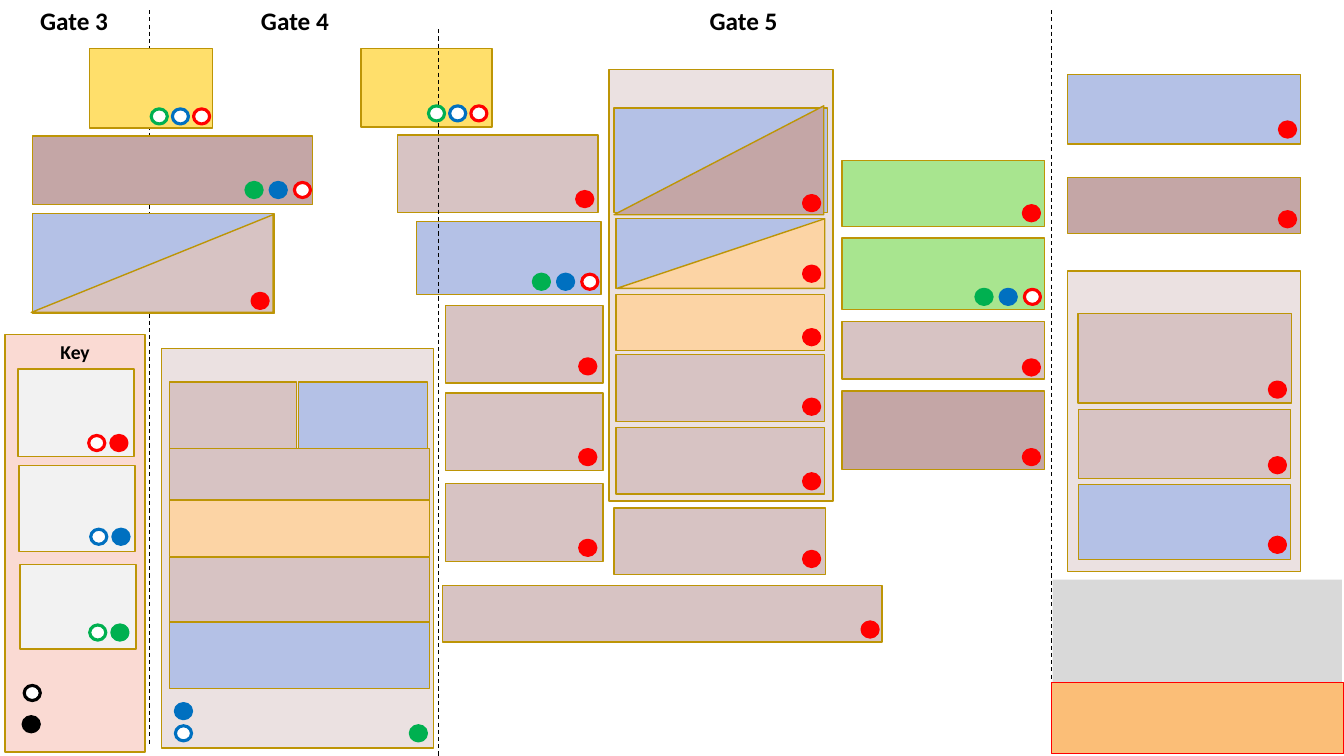
from lxml import etree
from pptx import Presentation
from pptx import util as u
from pptx.dml import color, line as dml_line
from pptx.enum import dml, shapes, text
from pptx.oxml import ns

GOLD, BLACK, WHITE = "BD9506", "000000", "FFFFFF"
RED, BLUE, GREEN = "FF0000", "0070C0", "00B050"
PERIWINKLE, ROSE, MAUVE, PEACH = "B4C1E6", "D7C3C3", "C4A6A6", "FCD4A5"
PANEL, LIME, YELLOW, PALE = "EBE1E1", "A8E58F", "FFDF6B", "F2F2F2"


def rgb(value):
    return color.RGBColor.from_string(value)


def write(frame, content, size=18, bold=True, fill=BLACK, font="Calibri",
          align=text.PP_ALIGN.CENTER, anchor=text.MSO_ANCHOR.TOP):
    frame.word_wrap = True
    frame.vertical_anchor = anchor
    paragraph = frame.paragraphs[0]
    paragraph.alignment = align
    run = paragraph.add_run()
    run.text = content
    run.font.size, run.font.bold, run.font.name = u.Pt(size), bold, font
    run.font.color.rgb = rgb(fill)


class Board:
    """Holds the slide and the style shared by its elements."""
    dot_size = (0.16, 0.15)

    def __init__(self, slide):
        self.slide = slide

    def shape(self, kind, left, top, width, height, fill, line=GOLD,
              weight=1, parent=None):
        shape = (parent or self.slide).shapes.add_shape(
            kind, *map(u.Inches, (left, top, width, height)))
        shape.shadow.inherit = False
        shape.fill.solid()
        shape.fill.fore_color.rgb = rgb(fill)
        if line:
            shape.line.color.rgb = rgb(line)
            shape.line.width = u.Pt(weight)
        else:
            shape.line.fill.background()
        return shape

    def box(self, *place, fill, **style):
        return self.shape(shapes.MSO_SHAPE.RECTANGLE, *place, fill, **style)

    def column(self, left, width, *blocks):
        for top, height, fill in blocks:
            self.box(left, top, width, height, fill=fill)

    def corner(self, *place, fill):
        shape = self.shape(shapes.MSO_SHAPE.ISOSCELES_TRIANGLE, *place, fill)
        shape.adjustments[0] = 1

    def dot(self, left, top, line, solid=True, parent=None):
        self.shape(shapes.MSO_SHAPE.OVAL, left, top, *self.dot_size,
                   line if solid else WHITE, line=line, weight=2.25,
                   parent=parent)

    def trio(self, left, top, step, solid):
        group = self.slide.shapes.add_group_shape()
        for index, (line, filled) in enumerate(
                [(GREEN, solid), (BLUE, solid), (RED, False)]):
            self.dot(left + index * step, top, line, filled, group)

    def divider(self, x, top, bottom):
        connector = self.slide.shapes.add_connector(
            shapes.MSO_CONNECTOR.STRAIGHT,
            *map(u.Inches, (x, top, x, bottom)))
        connector.line.color.rgb = rgb(BLACK)
        connector.line.width = u.Pt(0.75)
        connector.line.dash_style = dml.MSO_LINE.DASH
        etree.SubElement(connector._element.spPr, ns.qn("a:effectLst"))

    def heading(self, content, left, width):
        box = self.slide.shapes.add_textbox(
            *map(u.Inches, (left, 0, width, 0.4)))
        write(box.text_frame, content)


presentation = Presentation()
presentation.slide_width = u.Inches(13.33)
presentation.slide_height = u.Inches(7.5)
board = Board(presentation.slides.add_slide(presentation.slide_layouts[6]))

# Gate dividers and headings
board.divider(10.43, 0.1, 7.4)
board.divider(1.48, 0.1, 7.4)
for heading in [("Gate 3", 0, 1.47), ("Gate 4", 1.5, 2.85),
                ("Gate 5", 4.33, 6.09)]:
    board.heading(*heading)

# Gate 3 activities
board.column(0.89, 1.22, (0.48, 0.79, YELLOW))
board.column(0.32, 2.78, (1.35, 0.68, MAUVE))
board.column(0.32, 2.4, (2.12, 0.99, PERIWINKLE))
board.corner(0.31, 2.13, 2.4, 0.97, fill=ROSE)

# Gate 4 panel and activities
board.column(1.6, 2.7, (3.46, 3.96, PANEL))
board.column(1.68, 1.26, (3.79, 0.66, ROSE))
board.column(2.96, 1.28, (3.79, 0.66, PERIWINKLE))
board.column(1.68, 2.58, (4.45, 0.51, ROSE), (4.96, 0.56, PEACH),
             (5.53, 0.66, ROSE), (6.17, 0.66, PERIWINKLE))
board.column(3.58, 1.3, (0.48, 0.78, YELLOW))
board.column(3.94, 1.99, (1.34, 0.77, ROSE))
board.column(4.13, 1.83, (2.2, 0.72, PERIWINKLE))
board.divider(4.35, 0.29, 7.5)

# Gate 5 panel and activities
board.column(4.42, 1.56, *[(top, 0.77, ROSE) for top in (3.03, 3.9, 4.8)])
board.column(4.39, 4.36, (5.81, 0.56, ROSE))
board.column(6.04, 2.22, (0.69, 4.28, PANEL))
board.column(6.09, 2.12, (1.07, 1.04, PERIWINKLE))
board.column(6.11, 2.07, (2.17, 0.69, PERIWINKLE), (2.92, 0.56, PEACH),
             (3.52, 0.66, ROSE), (4.24, 0.66, ROSE))
board.column(6.09, 2.1, (5.04, 0.66, ROSE))
board.corner(6.09, 1.05, 2.08, 1.08, fill=MAUVE)
board.corner(6.12, 2.17, 2.06, 0.69, fill=PEACH)
board.column(8.35, 2.01, (1.59, 0.66, LIME), (2.36, 0.71, LIME),
             (3.19, 0.57, ROSE), (3.88, 0.78, MAUVE))

# Activities after gate 5
board.column(10.59, 2.31, (0.74, 0.69, PERIWINKLE), (1.76, 0.56, MAUVE),
             (2.69, 2.98, PANEL))
board.column(10.69, 2.12, (3.11, 0.89, ROSE))
board.column(10.7, 2.1, (4.06, 0.69, ROSE), (4.81, 0.74, PERIWINKLE))
board.box(10.44, 5.75, 2.87, 1.11, fill="D9D9D9", line=None)
board.box(10.43, 6.77, 2.9, 0.71, fill="FBBE77", line=RED, weight=0.75)

# Key
key = board.box(0.05, 3.32, 1.39, 4.14, fill="FADAD3")
write(key.text_frame, "Key", size=14)
for left, top, height, dot_left, dot_top, line in [
        (0.18, 3.66, 0.87, 0.88, 4.32, RED),
        (0.19, 4.62, 0.85, 0.9, 5.25, BLUE),
        (0.2, 5.6, 0.84, 0.89, 6.2, GREEN)]:
    board.box(left, top, 1.15, height, fill=PALE)
    board.dot(dot_left, dot_top, line, solid=False)
    board.dot(dot_left + 0.22, dot_top, line)
board.dot(0.24, 6.8, BLACK, solid=False)
board.dot(0.23, 7.11, BLACK)

# Status dots of the gate 4 panel
board.dot(1.74, 6.98, BLUE)
board.dot(1.74, 7.2, BLUE, solid=False)
board.dot(4.07, 7.2, GREEN)

# Red status dots, by column
red_dots = {
    2.5: [2.91],
    5.72: [1.9],
    5.75: [3.56, 4.46, 5.36],
    7.97: [1.94, 2.64, 3.27, 3.96, 4.7, 5.47],
    8.55: [6.17],
    10.15: [2.04, 3.57, 4.46],
    12.59: [3.79, 4.54, 5.33],
    12.69: [1.21, 2.1],
}
for left, tops in red_dots.items():
    for top in tops:
        board.dot(left, top, RED)

# Groups of three status dots
for left, top in [(1.5, 1.08), (4.25, 1.05)]:
    board.trio(left, top, 0.21, solid=False)
for left, top in [(2.44, 1.81), (5.29, 2.72), (9.68, 2.87)]:
    board.trio(left, top, 0.24, solid=True)

presentation.save("out.pptx")
